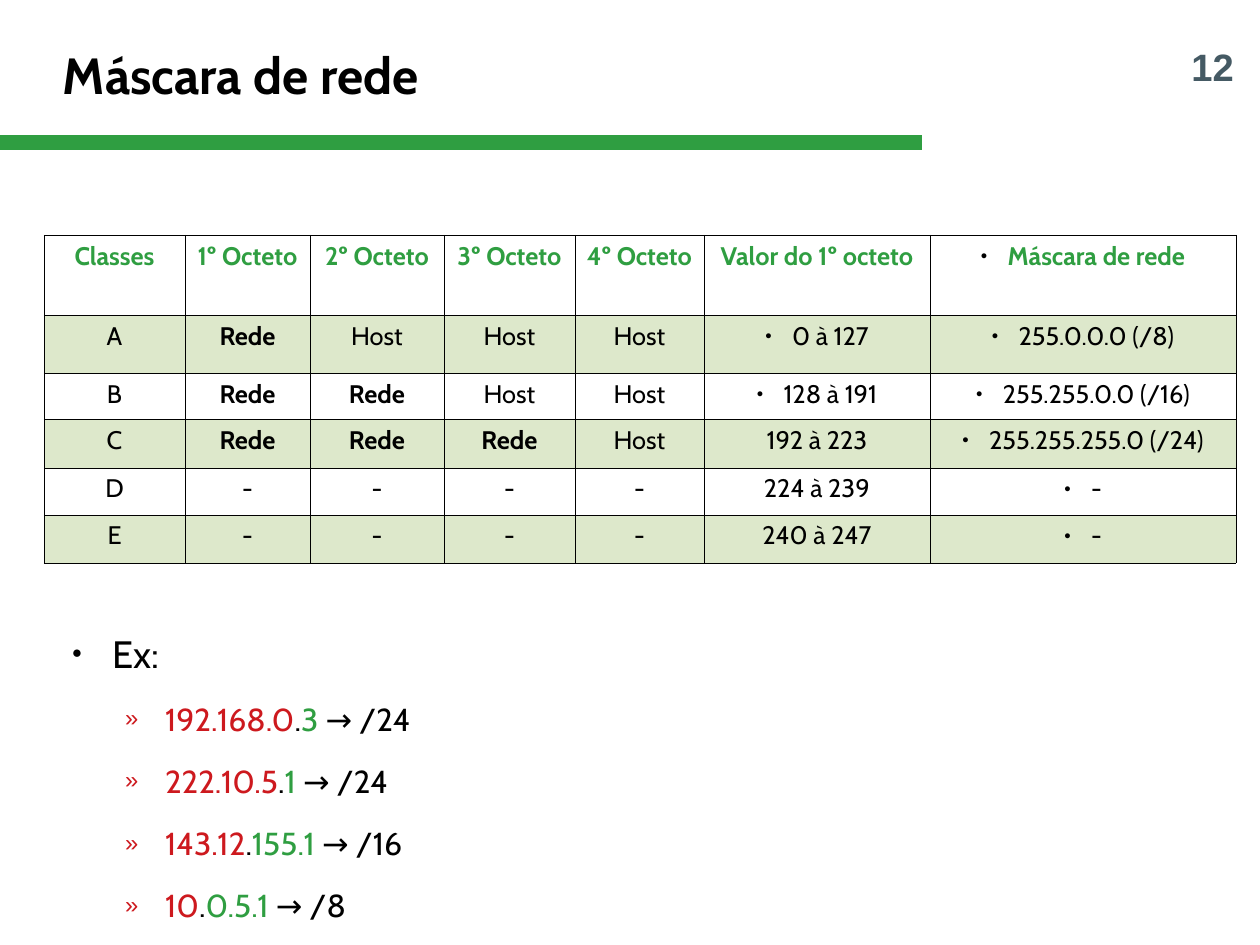
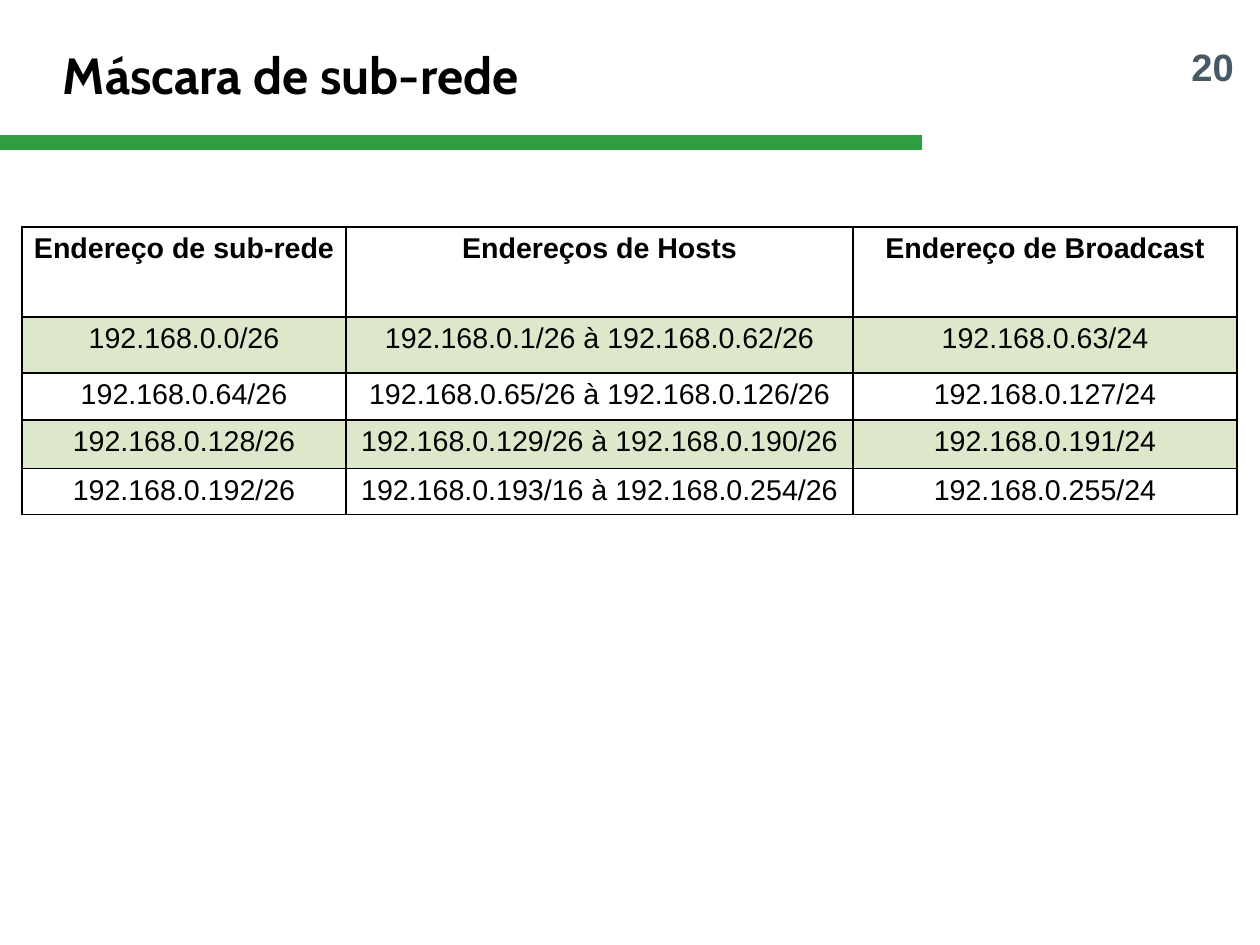
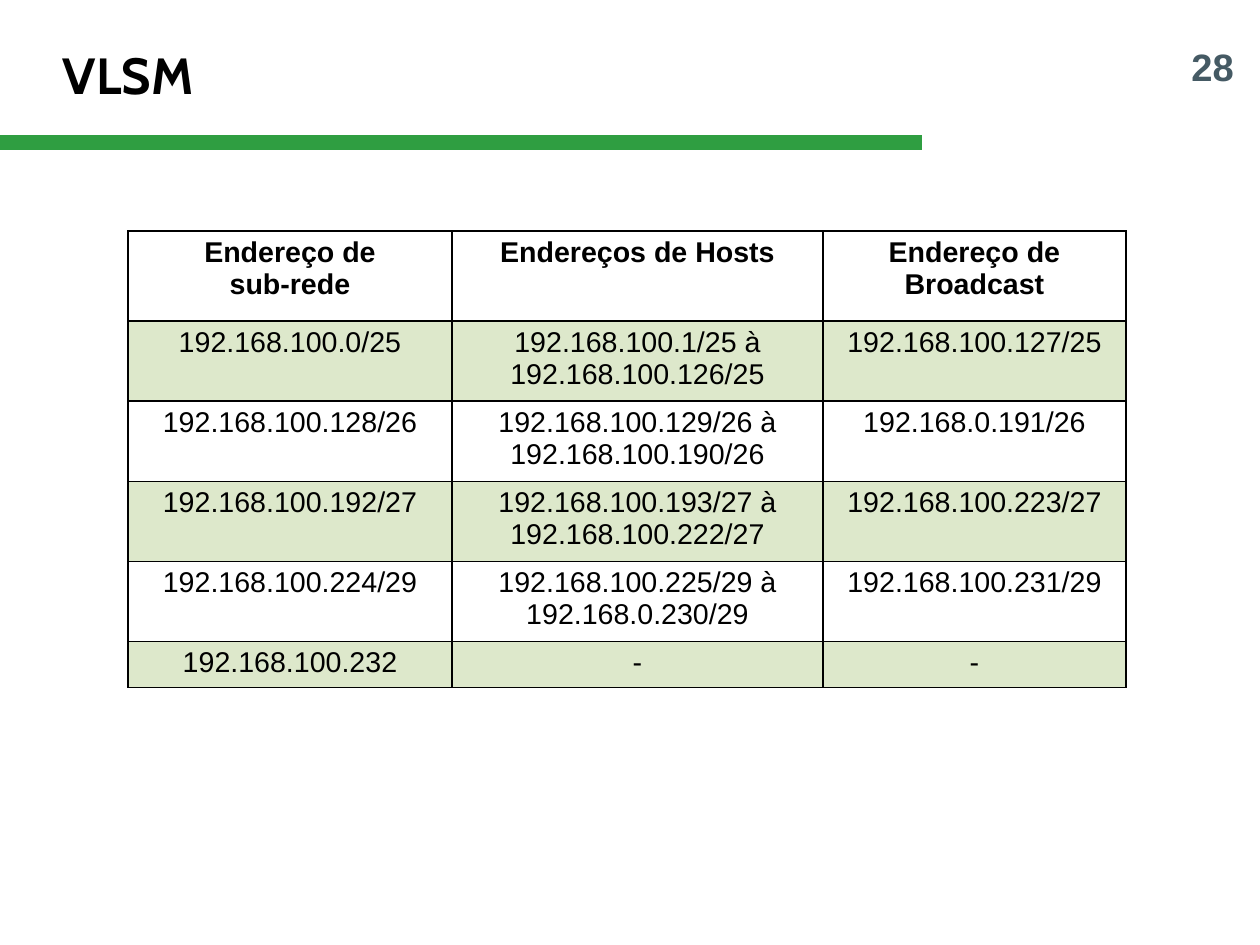
from collections import namedtuple

from pptx import Presentation
from pptx.dml.color import RGBColor
from pptx.enum.shapes import MSO_SHAPE
from pptx.enum.text import MSO_ANCHOR, MSO_AUTO_SIZE, PP_ALIGN
from pptx.oxml.ns import qn
from pptx.util import Pt
from lxml import etree

Box = namedtuple("Box", "left top width height")
TableStyle = namedtuple("TableStyle", "font size header_color border")

EMU_PER_PX = 8000
LEFT, CENTER, RIGHT = PP_ALIGN.LEFT, PP_ALIGN.CENTER, PP_ALIGN.RIGHT
MIDDLE, TOP = MSO_ANCHOR.MIDDLE, MSO_ANCHOR.TOP
NO_AUTOFIT = MSO_AUTO_SIZE.NONE
RECTANGLE = MSO_SHAPE.RECTANGLE

BLACK = RGBColor(0x00, 0x00, 0x00)
WHITE = RGBColor(0xFF, 0xFF, 0xFF)
GREEN = RGBColor(0x2F, 0x9E, 0x41)
PALE_GREEN = RGBColor(0xDD, 0xE8, 0xCB)
RED = RGBColor(0xCD, 0x19, 0x1E)
SLATE = RGBColor(0x45, 0x5A, 0x64)

HEADING_FONT, PLAIN_FONT = "Cabin", "Arial"
TITLE_ONLY, TITLE_AND_BODY = 5, 1

SLIDE_WIDTH, SLIDE_HEIGHT = 1260, 945
TITLE_BOX = Box(63, -5, 815, 158)
BAND_BOX = Box(0, 135, 922, 15)
NUMBER_BOX = Box(1038, 38, 207, 71)
EXAMPLES_BOX = Box(58, 630, 1134, 293)

CLASS_STYLE = TableStyle(HEADING_FONT, 16, GREEN, 0.06)
SUBNET_STYLE = TableStyle(PLAIN_FONT, 18, BLACK, 0.85)

CLASS_ROWS = [
    ["Classes", "1º Octeto", "2º Octeto", "3º Octeto", "4º Octeto", "Valor do 1º octeto", "Máscara de rede"],
    ["A", "Rede", "Host", "Host", "Host", "0 à 127", "255.0.0.0 (/8)"],
    ["B", "Rede", "Rede", "Host", "Host", "128 à 191", "255.255.0.0 (/16)"],
    ["C", "Rede", "Rede", "Rede", "Host", "192 à 223", "255.255.255.0 (/24)"],
    ["D", "-", "-", "-", "-", "224 à 239", "-"],
    ["E", "-", "-", "-", "-", "240 à 247", "-"],
]
CLASS_BULLETS = {(row, 6) for row in range(6)} | {(1, 5), (2, 5)}
EXAMPLES = [
    ("192.168.0", "3", "/24"),
    ("222.10.5", "1", "/24"),
    ("143.12", "155.1", "/16"),
    ("10", "0.5.1", "/8"),
]
SUBNET_ROWS = [
    ["Endereço de sub-rede", "Endereços de Hosts", "Endereço de Broadcast"],
    ["192.168.0.0/26", "192.168.0.1/26 à 192.168.0.62/26", "192.168.0.63/24"],
    ["192.168.0.64/26", "192.168.0.65/26 à 192.168.0.126/26", "192.168.0.127/24"],
    ["192.168.0.128/26", "192.168.0.129/26 à 192.168.0.190/26", "192.168.0.191/24"],
    ["192.168.0.192/26", "192.168.0.193/16 à 192.168.0.254/26", "192.168.0.255/24"],
]
VLSM_ROWS = [
    ["Endereço de\nsub-rede", "Endereços de Hosts", "Endereço de\nBroadcast"],
    ["192.168.100.0/25", "192.168.100.1/25 à 192.168.100.126/25", "192.168.100.127/25"],
    ["192.168.100.128/26", "192.168.100.129/26 à 192.168.100.190/26", "192.168.0.191/26"],
    ["192.168.100.192/27", "192.168.100.193/27 à 192.168.100.222/27", "192.168.100.223/27"],
    ["192.168.100.224/29", "192.168.100.225/29 à 192.168.0.230/29", "192.168.100.231/29"],
    ["192.168.100.232", "-", "-"],
]


def px(length):
    """Turn pixels into EMU."""
    return length * EMU_PER_PX


def emu_box(box):
    """Return the four sides of a box in EMU."""
    return [px(length) for length in box]


def move(shape, box):
    """Place a shape on a box."""
    shape.left, shape.top, shape.width, shape.height = emu_box(box)


def format_run(run, font, size, color, bold=False):
    """Set the typeface, size, colour and weight of a run."""
    run.font.name = font
    run.font.size = Pt(size)
    run.font.color.rgb = color
    run.font.bold = bold


def format_paragraphs(text_frame, alignment, *run_format):
    """Align every paragraph and format all its runs alike."""
    for paragraph in text_frame.paragraphs:
        paragraph.alignment = alignment
        for run in paragraph.runs:
            format_run(run, *run_format)


def set_bullet(paragraph, character, color, percent, margin, hanging):
    """Give a paragraph a coloured bullet and a hanging indent."""
    properties = paragraph._p.get_or_add_pPr()
    properties.set("marL", str(px(margin)))
    properties.set("indent", str(-px(hanging)))
    bullet_color = etree.SubElement(properties, qn("a:buClr"))
    etree.SubElement(bullet_color, qn("a:srgbClr"), val=str(color))
    etree.SubElement(properties, qn("a:buSzPct"), val=str(percent * 1000))
    etree.SubElement(properties, qn("a:buFont"), typeface=PLAIN_FONT)
    etree.SubElement(properties, qn("a:buChar"), char=character)


def clear_frame(text_frame, anchor):
    """Remove the insets and autofit of a placeholder and anchor its text."""
    text_frame.margin_left = text_frame.margin_right = 0
    text_frame.margin_top = text_frame.margin_bottom = 0
    text_frame.auto_size = NO_AUTOFIT
    text_frame.vertical_anchor = anchor


def add_framed_slide(presentation, layout, title, number):
    """Add a slide with its title, green band and page number."""
    slide = presentation.slides.add_slide(presentation.slide_layouts[layout])
    band = slide.shapes.add_shape(RECTANGLE, *emu_box(BAND_BOX))
    band.shadow.inherit = False
    band.fill.solid()
    band.fill.fore_color.rgb = GREEN
    band.line.fill.background()

    number_frame = slide.shapes.add_textbox(*emu_box(NUMBER_BOX)).text_frame
    number_frame.word_wrap = True
    number_frame.text = str(number)
    format_paragraphs(number_frame, RIGHT, PLAIN_FONT, 24, SLATE, True)

    move(slide.shapes.title, TITLE_BOX)
    title_frame = slide.shapes.title.text_frame
    clear_frame(title_frame, MIDDLE)
    title_frame.text = title
    format_paragraphs(title_frame, LEFT, HEADING_FONT, 32, BLACK, True)
    return slide


def set_borders(cell, width):
    """Draw black lines on the four sides of a cell."""
    properties = cell._tc.get_or_add_tcPr()
    for side in ("a:lnL", "a:lnR", "a:lnT", "a:lnB"):
        line = etree.SubElement(properties, qn(side), w=str(Pt(width)))
        fill = etree.SubElement(line, qn("a:solidFill"))
        etree.SubElement(fill, qn("a:srgbClr"), val=str(BLACK))


def add_banded_table(slide, left, top, widths, heights, rows, style, bullets=()):
    """Add a table with a bold header and alternating row fills."""
    box = Box(left, top, sum(widths), sum(heights))
    table = slide.shapes.add_table(len(rows), len(widths), *emu_box(box)).table
    table.first_row = table.horz_banding = False
    for column, width in zip(table.columns, widths):
        column.width = px(width)
    for row_index, (row, height) in enumerate(zip(rows, heights)):
        table.rows[row_index].height = px(height)
        color = BLACK if row_index else style.header_color
        for column_index, text in enumerate(row):
            cell = table.cell(row_index, column_index)
            set_borders(cell, style.border)
            cell.fill.solid()
            cell.fill.fore_color.rgb = PALE_GREEN if row_index % 2 else WHITE
            cell.text_frame.text = text
            bold = row_index == 0 or text == "Rede"
            format_paragraphs(cell.text_frame, CENTER, style.font, style.size, color, bold)
            if (row_index, column_index) in bullets:
                set_bullet(cell.text_frame.paragraphs[0], "●", BLACK, 45, 27, 27)


def add_examples(slide, box):
    """Fill the body with addresses split into network and host parts."""
    body = slide.placeholders[1]
    move(body, box)
    text_frame = body.text_frame
    clear_frame(text_frame, TOP)
    text_frame.text = "Ex:"
    heading = text_frame.paragraphs[0]
    heading.space_before = Pt(0)
    set_bullet(heading, "●", BLACK, 45, 54, 40)
    format_run(heading.runs[0], HEADING_FONT, 24, BLACK)
    for network, host, mask in EXAMPLES:
        paragraph = text_frame.add_paragraph()
        paragraph.level = 1
        paragraph.space_before = Pt(15.1)
        set_bullet(paragraph, "»", RED, 75, 107, 40)
        parts = [(network, RED), (".", BLACK), (host, GREEN), (f" → {mask}", BLACK)]
        for text, color in parts:
            run = paragraph.add_run()
            run.text = text
            format_run(run, HEADING_FONT, 20, color)


def build_mask_slide(presentation):
    """Build the slide on address classes and their masks."""
    slide = add_framed_slide(presentation, TITLE_AND_BODY, "Máscara de rede", 12)
    add_examples(slide, EXAMPLES_BOX)
    add_banded_table(slide, 44, 235, [141, 125, 134, 131, 129, 226, 306],
                     [80, 58, 46, 49, 47, 48], CLASS_ROWS, CLASS_STYLE, CLASS_BULLETS)


def build_subnet_slide(presentation, title, number, left, top, widths, heights, rows):
    """Build a slide with one table of subnets."""
    slide = add_framed_slide(presentation, TITLE_ONLY, title, number)
    add_banded_table(slide, left, top, widths, heights, rows, SUBNET_STYLE)


def main():
    """Build and save the presentation."""
    presentation = Presentation()
    presentation.slide_width = px(SLIDE_WIDTH)
    presentation.slide_height = px(SLIDE_HEIGHT)
    build_mask_slide(presentation)
    build_subnet_slide(presentation, "Máscara de sub-rede", 20, 22, 227,
                       [324, 507, 384], [90, 56, 47, 49, 46], SUBNET_ROWS)
    build_subnet_slide(presentation, "VLSM", 28, 128, 231,
                       [324, 371, 303], [90, 80, 80, 80, 80, 46], VLSM_ROWS)
    presentation.save("out.pptx")


if __name__ == "__main__":
    main()
